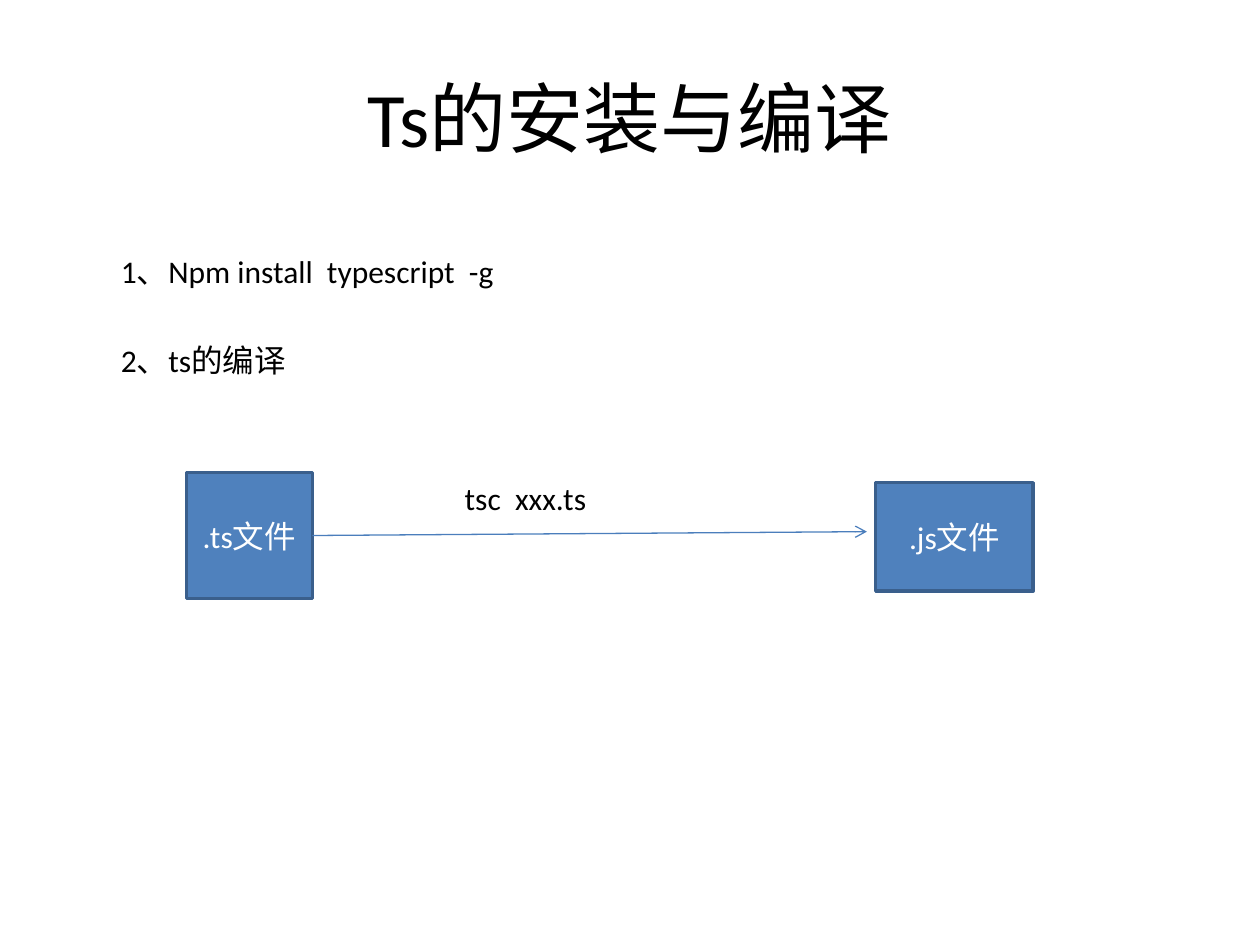
from lxml.etree import SubElement
from pptx import Presentation
from pptx.dml.color import RGBColor
from pptx.enum.shapes import MSO_CONNECTOR as Connector, MSO_SHAPE as Shape
from pptx.enum.text import MSO_ANCHOR as Anchor, MSO_AUTO_SIZE as AutoSize, PP_ALIGN as Align
from pptx.oxml.ns import qn
from pptx.util import Pt

COLORS = {"text": "000000", "light": "FFFFFF", "box": "4F81BD",
          "border": "3A5F8C", "arrow": "4B7EBC"}


def color(name):
    """Return the named colour."""
    return RGBColor.from_string(COLORS[name])


def apply(target, values):
    """Set attributes from a dict of format values."""
    for name, value in values.items():
        setattr(target, name, value)


class SlideBuilder:
    """Holds the text style and the current slide; lengths are points."""

    font = "Calibri"
    size = 18

    def __init__(self, slide):
        self.slide = slide

    def fill_text(self, shape, text, ink="text", size=size, align=Align.LEFT, **frame):
        """Fill a shape with one formatted paragraph."""
        apply(shape.text_frame, {"word_wrap": True, **frame})
        paragraph = shape.text_frame.paragraphs[0]
        paragraph.alignment = align
        run = paragraph.add_run()
        run.text = text
        apply(run.font, {"name": self.font, "size": Pt(size)})
        run.font.color.rgb = color(ink)

    def title(self, text, left, top, width, height):
        """Place and fill the title placeholder."""
        shape = self.slide.shapes.title
        apply(shape, {"left": Pt(left), "top": Pt(top),
                      "width": Pt(width), "height": Pt(height)})
        self.fill_text(shape, text, size=44, align=Align.CENTER,
                       vertical_anchor=Anchor.MIDDLE)

    def text(self, text, left, top, width, wrap=True):
        """Add a one-line text box."""
        shape = self.slide.shapes.add_textbox(Pt(left), Pt(top), Pt(width), Pt(29))
        self.fill_text(shape, text, word_wrap=wrap,
                       auto_size=AutoSize.SHAPE_TO_FIT_TEXT)

    def box(self, text, left, top, width, height):
        """Add a bordered file box with centred text."""
        shape = self.slide.shapes.add_shape(
            Shape.RECTANGLE, Pt(left), Pt(top), Pt(width), Pt(height))
        shape.shadow.inherit = False
        shape.fill.solid()
        shape.fill.fore_color.rgb = color("box")
        shape.line.color.rgb = color("border")
        shape.line.width = Pt(2)
        self.fill_text(shape, text, "light", align=Align.CENTER,
                       vertical_anchor=Anchor.MIDDLE)

    def arrow(self, *ends):
        """Add a thin line with an open arrowhead at its end."""
        connector = self.slide.shapes.add_connector(Connector.STRAIGHT, *map(Pt, ends))
        connector.line.color.rgb = color("arrow")
        connector.line.width = Pt(0.75)
        properties = connector._element.spPr
        SubElement(properties.find(qn("a:ln")), qn("a:tailEnd"), type="arrow")
        SubElement(properties, qn("a:effectLst"))


def main():
    """Build and save the slide."""
    presentation = Presentation()
    apply(presentation, {"slide_width": Pt(720), "slide_height": Pt(540)})
    title_only = presentation.slide_layouts[5]
    builder = SlideBuilder(presentation.slides.add_slide(title_only))

    builder.title("Ts的安装与编译", 36, 21.6, 648, 90)
    builder.text("1、Npm install  typescript  -g", 62, 140.4, 326)
    builder.box(".ts文件", 106.5, 270, 72, 72)
    builder.arrow(178.5, 306, 495.4, 303.8)
    builder.box(".js文件", 500.4, 275.8, 90, 62)
    builder.text("2、ts的编译", 62, 191.5, 126.7)
    builder.text("tsc  xxx.ts", 258.5, 270, 84.2, wrap=False)
    presentation.save("out.pptx")


main()
